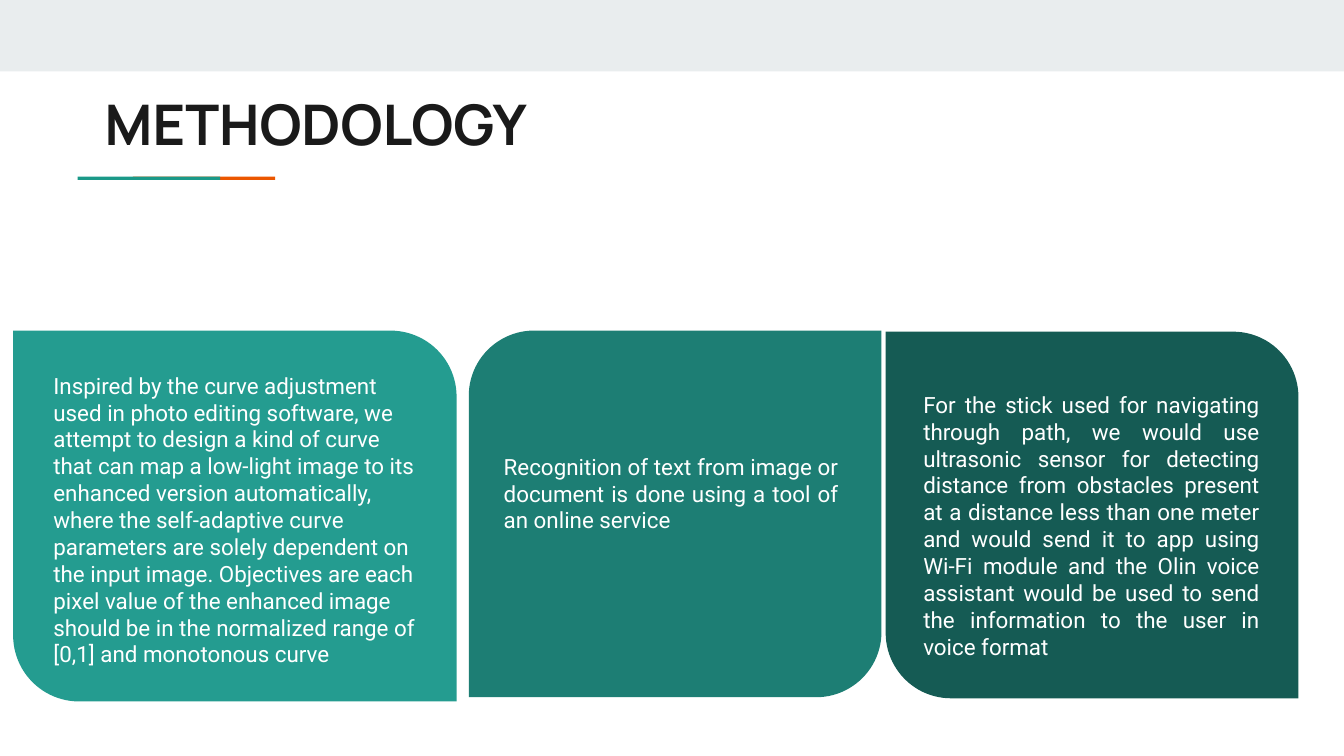
from pptx import Presentation
from pptx.dml.color import RGBColor
from pptx.enum import shapes, text
from pptx.util import Cm, Pt

THEME = {
    "band": "E9EDEE",
    "orange": "EB5600",
    "teal": "1A9988",
    "title": {"name": "Manrope", "size": Pt(30), "bold": True, "color": "1A1A1A"},
    "body": {"name": "Roboto", "size": Pt(12), "bold": False, "color": "FFFFFF"},
}

SLIDE = (25.4, 14.29)
TITLE = ("METHODOLOGY", (1.73, 1.45, 21.36, 1.5))
BARS = [
    ((0, 0, SLIDE[0], 1.35), THEME["band"]),
    ((2.51, 3.34, 2.69, 0.06), THEME["orange"]),
    ((1.47, 3.34, 2.69, 0.06), THEME["teal"]),
]
ROUND = 0.178
CARDS = [
    {
        "box": (0.25, 6.25, 8.38, 7.01),
        "corners": (0, ROUND),
        "fill": "249C90",
        "text_box": (0.76, 6.78, 7.39, 5.8),
        "align": text.PP_ALIGN.LEFT,
        "text": "Inspired by the curve adjustment used in photo editing software, "
                "we attempt to design a kind of curve that can map a low-light image "
                "to its enhanced version automatically, where the self-adaptive curve "
                "parameters are solely dependent on the input image. Objectives are each "
                "pixel value of the enhanced image should be in the normalized range of "
                "[0,1] and monotonous curve",
    },
    {
        "box": (8.86, 6.25, 7.8, 6.93),
        "corners": (ROUND, 0),
        "fill": "1D7E74",
        "text_box": (9.27, 8.31, 6.83, 2.41),
        "align": text.PP_ALIGN.JUSTIFY,
        "text": "Recognition of text from image or document is done using a tool of "
                "an online service",
    },
    {
        "box": (16.74, 6.27, 7.8, 6.93),
        "corners": (0, ROUND),
        "fill": "155B54",
        "text_box": (17.2, 7.14, 6.86, 5.4),
        "align": text.PP_ALIGN.JUSTIFY,
        "text": "For the stick used for navigating through path, we would use ultrasonic "
                "sensor for detecting distance from obstacles present at a distance less "
                "than one meter and would send it to app using Wi-Fi module and the Olin "
                "voice assistant would be used to send the information to the user in "
                "voice format",
    },
]


def add_block(s, kind, box, fill):
    sp = s.shapes.add_shape(kind, *map(Cm, box))
    sp.shadow.inherit = False
    sp.fill.solid()
    sp.fill.fore_color.rgb = RGBColor.from_string(fill)
    sp.line.fill.background()
    return sp


def add_text(s, words, box, style, align=text.PP_ALIGN.LEFT):
    tf = s.shapes.add_textbox(*map(Cm, box)).text_frame
    frame = {"word_wrap": True, "vertical_anchor": text.MSO_ANCHOR.TOP}
    frame.update({f"margin_{side}": Cm(0.25) for side in ("left", "right", "top", "bottom")})
    for key, value in frame.items():
        setattr(tf, key, value)
    p = tf.paragraphs[0]
    p.alignment = align
    r = p.add_run()
    r.text = words
    for key in ("name", "size", "bold"):
        setattr(r.font, key, style[key])
    r.font.color.rgb = RGBColor.from_string(style["color"])


def main():
    prs = Presentation()
    prs.slide_width, prs.slide_height = map(Cm, SLIDE)
    s = prs.slides.add_slide(prs.slide_layouts[6])
    for box, fill in BARS:
        add_block(s, shapes.MSO_SHAPE.RECTANGLE, box, fill)
    add_text(s, *TITLE, THEME["title"])
    for card in CARDS:
        sp = add_block(s, shapes.MSO_SHAPE.ROUND_2_DIAG_RECTANGLE, card["box"], card["fill"])
        for i, radius in enumerate(card["corners"]):
            sp.adjustments[i] = radius
        add_text(s, card["text"], card["text_box"], THEME["body"], card["align"])
    prs.save("out.pptx")


if __name__ == "__main__":
    main()
